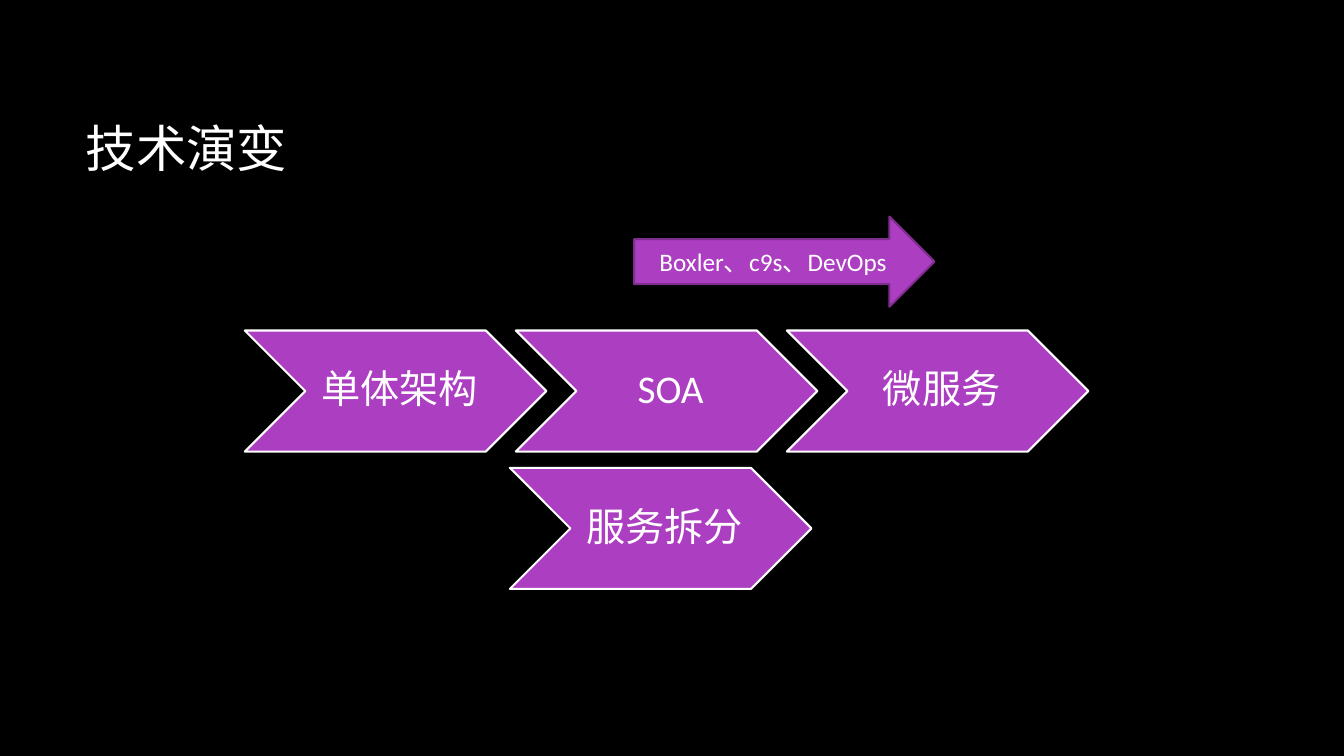
from dataclasses import dataclass

from pptx import Presentation
from pptx.dml.color import RGBColor
from pptx.enum.shapes import MSO_SHAPE as Preset
from pptx.enum.text import MSO_ANCHOR as Anchor, PP_ALIGN as Align
from pptx.shapes.autoshape import Shape
from pptx.slide import Slide
from pptx.util import Cm, Pt

BLACK = RGBColor(0x00, 0x00, 0x00)
WHITE = RGBColor(0xFF, 0xFF, 0xFF)
PURPLE = RGBColor(0xAC, 0x3E, 0xC1)
DARK_PURPLE = RGBColor(0x7F, 0x2E, 0x8F)

FONT = "Calibri"
STAGE_WIDTH, STAGE_HEIGHT = 7.6, 3.05
STAGE_LEFT, STAGE_TOP, STAGE_PITCH = 6.17, 8.33, 6.83
STAGE_NAMES = ("单体架构", "SOA", "微服务")


@dataclass(frozen=True)
class Stage:
    """A chevron, placed in centimetres."""
    name: str
    left: float
    top: float


def write_text(shape: Shape, text: str, *, size: float,
               align: Align = Align.CENTER, line_spacing: float = 1.0) -> None:
    frame = shape.text_frame
    frame.word_wrap = True
    frame.vertical_anchor = Anchor.MIDDLE
    para = frame.paragraphs[0]
    para.alignment = align
    para.line_spacing = line_spacing
    span = para.add_run()
    span.text = text
    span.font.name = FONT
    span.font.size = Pt(size)
    span.font.color.rgb = WHITE


def add_block(page: Slide, preset: Preset, left: float, top: float,
              width: float, height: float, line_color: RGBColor) -> Shape:
    block = page.shapes.add_shape(preset, Cm(left), Cm(top), Cm(width), Cm(height))
    block.shadow.inherit = False
    block.fill.solid()
    block.fill.fore_color.rgb = PURPLE
    block.line.color.rgb = line_color
    block.line.width = Pt(1.5)
    return block


def add_stage(page: Slide, stage: Stage) -> None:
    chevron = add_block(page, Preset.CHEVRON, stage.left, stage.top,
                        STAGE_WIDTH, STAGE_HEIGHT, WHITE)
    frame = chevron.text_frame
    frame.margin_left = Cm(0.3)
    frame.margin_right = frame.margin_top = frame.margin_bottom = Cm(0.1)
    write_text(chevron, stage.name, size=28, line_spacing=0.9)


def main() -> None:
    deck = Presentation()
    deck.slide_width, deck.slide_height = Cm(33.87), Cm(19.05)
    page = deck.slides.add_slide(deck.slide_layouts[6])
    page.background.fill.solid()
    page.background.fill.fore_color.rgb = BLACK

    # Title
    title_box = page.shapes.add_textbox(Cm(1.91), Cm(1.7), Cm(28.14), Cm(4.04))
    write_text(title_box, "技术演变", size=36, align=Align.LEFT)

    # Stages in a row, with the splitting step below
    stages = [Stage(name, STAGE_LEFT + index * STAGE_PITCH, STAGE_TOP)
              for index, name in enumerate(STAGE_NAMES)]
    stages.append(Stage("服务拆分", 12.85, 11.79))
    for stage in stages:
        add_stage(page, stage)

    # Enabling tools
    tools_arrow = add_block(page, Preset.RIGHT_ARROW, 15.98, 5.46, 7.57, 2.27,
                            DARK_PURPLE)
    write_text(tools_arrow, "Boxler、c9s、DevOps", size=18)

    deck.save("out.pptx")


if __name__ == "__main__":
    main()
